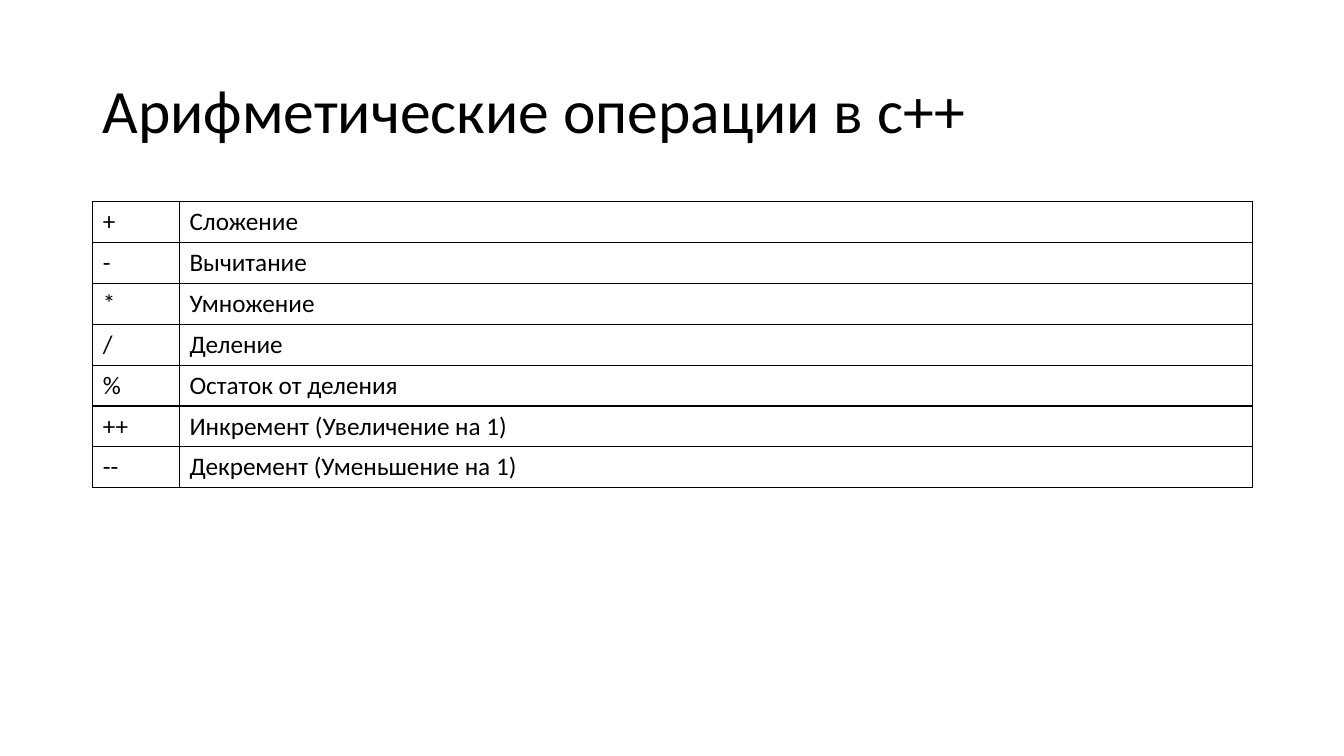
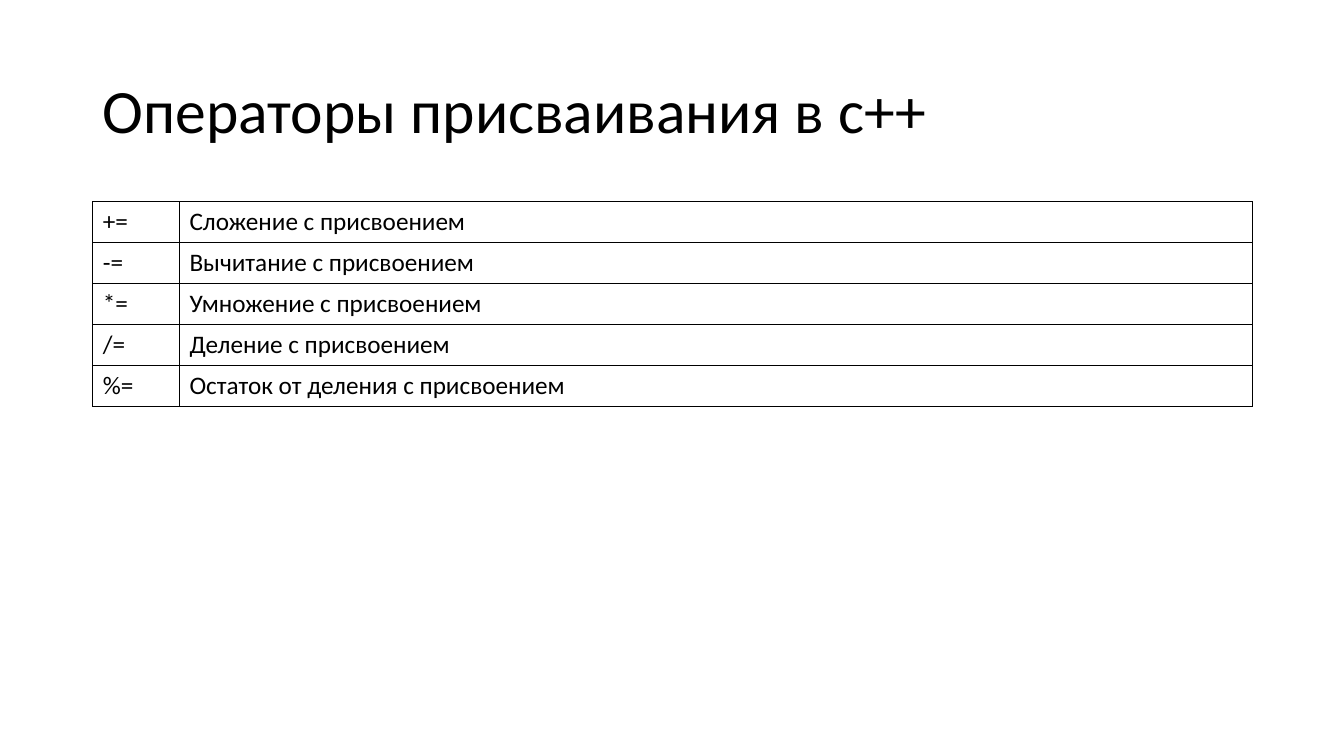
from dataclasses import dataclass

from lxml.etree import SubElement
from pptx import Presentation
from pptx.dml.color import RGBColor
from pptx.enum.text import MSO_ANCHOR
from pptx.oxml.ns import qn
from pptx.slide import Slide
from pptx.table import _Cell as Cell
from pptx.util import Inches, Pt

# Shared style
COLORS = {"text": "000000", "border": "000000"}
FONT = "Calibri"
TITLE_FORMAT = {"name": FONT, "size": Pt(44), "bold": False}
CELL_FORMAT = {"name": FONT, "size": Pt(18), "bold": False}
LEFT, WIDTH = 0.92, 11.5
TITLE_TOP, TITLE_HEIGHT = 0.4, 1.45
TABLE_TOP = 2
SYMBOL_WIDTH = 0.86
BORDER = Pt(1)


@dataclass(frozen=True)
class OperatorSlide:
    title: str
    table_height: float
    operators: list[tuple[str, str]]


# Content
SLIDES = [
    OperatorSlide("Арифметические операции в с++", 2.84, [
        ("+", "Сложение"),
        ("-", "Вычитание"),
        ("*", "Умножение"),
        ("/", "Деление"),
        ("%", "Остаток от деления"),
        ("++", "Инкремент (Увеличение на 1)"),
        ("--", "Декремент (Уменьшение на 1)"),
    ]),
    OperatorSlide("Операторы присваивания в с++", 2.03, [
        ("+=", "Сложение с присвоением"),
        ("-=", "Вычитание с присвоением"),
        ("*=", "Умножение с присвоением"),
        ("/=", "Деление с присвоением"),
        ("%=", "Остаток от деления с присвоением"),
    ]),
]


def write(tf, text: str, fmt: dict) -> None:
    p = tf.paragraphs[0]
    r = p.add_run()
    r.text = text
    for name, value in fmt.items():
        setattr(r.font, name, value)
    r.font.color.rgb = RGBColor.from_string(COLORS["text"])


def add_title(s: Slide, text: str) -> None:
    sp = s.shapes.add_textbox(Inches(LEFT), Inches(TITLE_TOP),
                              Inches(WIDTH), Inches(TITLE_HEIGHT))
    tf = sp.text_frame
    tf.word_wrap = True
    tf.vertical_anchor = MSO_ANCHOR.MIDDLE
    write(tf, text, TITLE_FORMAT)
    tf.paragraphs[0].line_spacing = 0.9


def add_borders(cell: Cell) -> None:
    # Border lines come before the fill in the cell properties
    tc_pr = cell._tc.get_or_add_tcPr()
    for i, side in enumerate(("lnL", "lnR", "lnT", "lnB")):
        ln = SubElement(tc_pr, qn(f"a:{side}"), w=str(BORDER))
        fill = SubElement(ln, qn("a:solidFill"))
        SubElement(fill, qn("a:srgbClr"), val=COLORS["border"])
        tc_pr.insert(i, ln)


def add_operator_table(s: Slide, content: OperatorSlide) -> None:
    table = s.shapes.add_table(len(content.operators), 2, Inches(LEFT), Inches(TABLE_TOP),
                               Inches(WIDTH), Inches(content.table_height)).table
    table.first_row = table.horz_banding = False
    for col, width in zip(table.columns, (SYMBOL_WIDTH, WIDTH - SYMBOL_WIDTH)):
        col.width = Inches(width)
    for row, texts in zip(table.rows, content.operators):
        for cell, text in zip(row.cells, texts):
            cell.fill.background()
            add_borders(cell)
            write(cell.text_frame, text, CELL_FORMAT)


def main() -> None:
    prs = Presentation()
    prs.slide_width, prs.slide_height = Inches(13.33), Inches(7.5)
    for content in SLIDES:
        s = prs.slides.add_slide(prs.slide_layouts[6])
        add_title(s, content.title)
        add_operator_table(s, content)
    prs.save("out.pptx")


if __name__ == "__main__":
    main()
